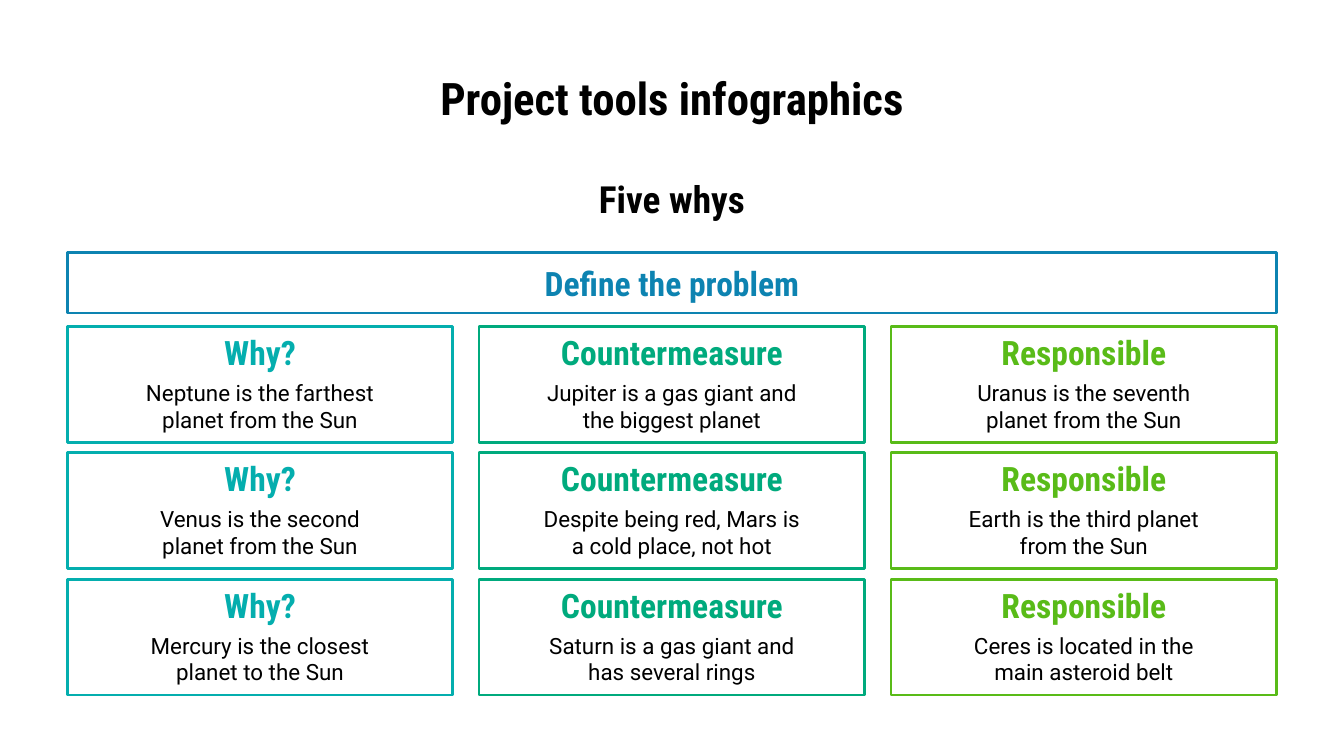
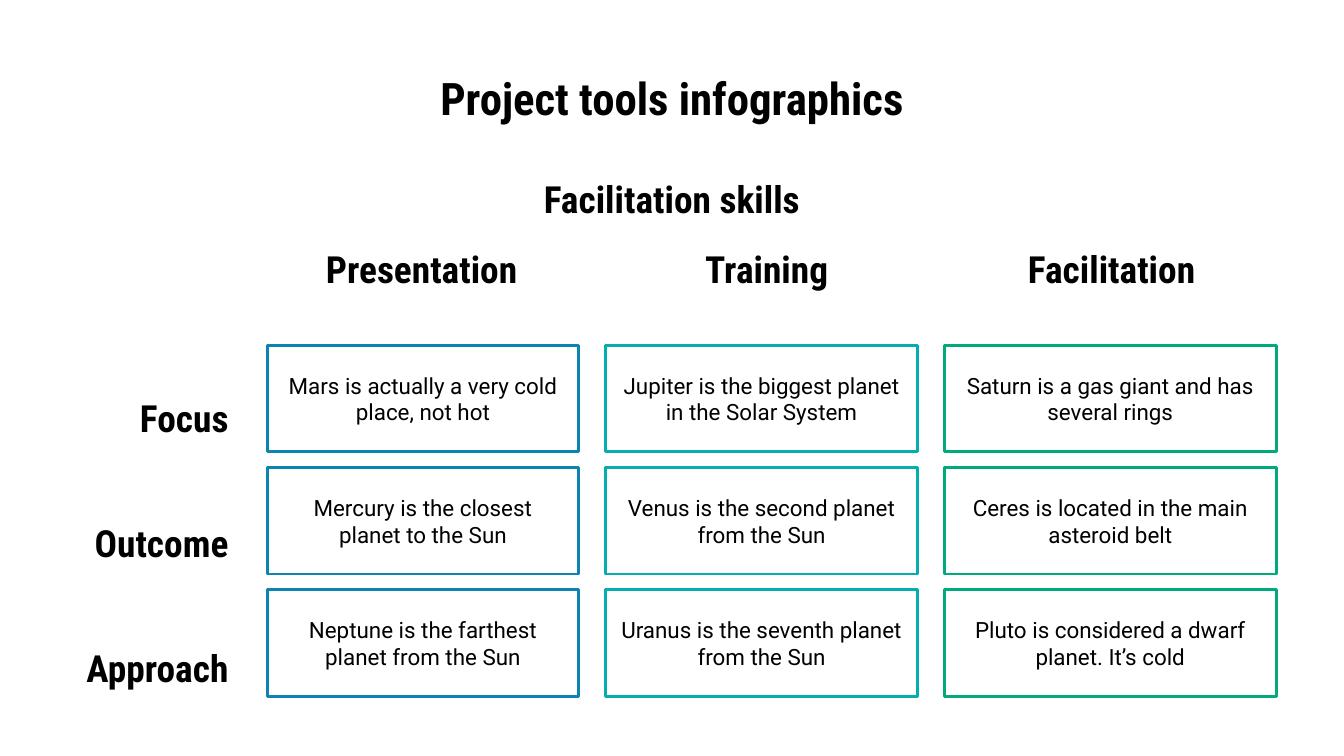
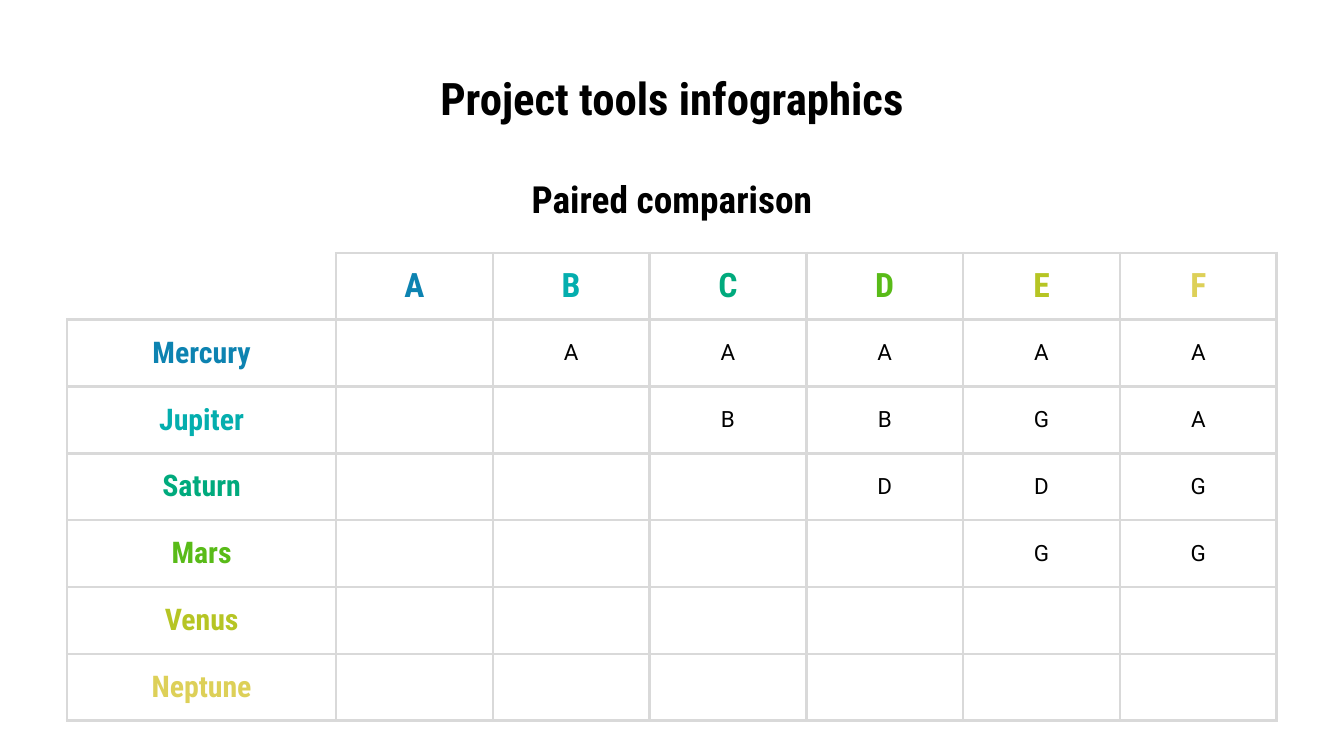
"""Build three project tools infographic slides."""
import pptx
import pptx.dml.color
import pptx.enum.shapes
import pptx.enum.text
import pptx.oxml
import pptx.oxml.ns
import pptx.util

Cm = pptx.util.Cm
Pt = pptx.util.Pt
ALIGN = pptx.enum.text.PP_ALIGN

BLACK, GREY = "000000", "D9D9D9"
PALETTE = ["0D83B1", "04AEAE", "00AA7D", "59BB18", "B6C524", "DDD058"]
BLUE, TEAL, GREEN, LIME = PALETTE[:4]
LEFT, WIDTH = 1.27, 22.86
BAND_TOP = 4.78

HEAD = {"name": "Roboto Condensed", "bold": True}
TITLE = {**HEAD, "size": Pt(24)}
SUBTITLE = {**HEAD, "size": Pt(20)}
LABEL = {**HEAD, "size": Pt(18)}
ROW_LABEL = {**HEAD, "size": Pt(16)}
BODY = {"name": "Roboto", "bold": False, "size": Pt(12)}
FRAME = {
    "margin_left": Cm(0.25),
    "margin_right": Cm(0.25),
    "margin_top": Cm(0.25),
    "margin_bottom": Cm(0.25),
    "vertical_anchor": pptx.enum.text.MSO_ANCHOR.MIDDLE,
}

WHYS = [
    ("Why?", TEAL, [
        "Neptune is the farthest planet from the Sun",
        "Venus is the second planet from the Sun",
        "Mercury is the closest planet to the Sun"]),
    ("Countermeasure", GREEN, [
        "Jupiter is a gas giant and the biggest planet",
        "Despite being red, Mars is a cold place, not hot",
        "Saturn is a gas giant and has several rings"]),
    ("Responsible", LIME, [
        "Uranus is the seventh planet from the Sun",
        "Earth is the third planet from the Sun",
        "Ceres is located in the main asteroid belt"]),
]
SKILLS = [
    ("Presentation", BLUE, 5.89, [
        "Mars is actually a very cold place, not hot",
        "Mercury is the closest planet to the Sun",
        "Neptune is the farthest planet from the Sun"]),
    ("Training", TEAL, 5.89, [
        "Jupiter is the biggest planet in the Solar System",
        "Venus is the second planet from the Sun",
        "Uranus is the seventh planet from the Sun"]),
    ("Facilitation", GREEN, 6.27, [
        "Saturn is a gas giant and has several rings",
        "Ceres is located in the main asteroid belt",
        "Pluto is considered a dwarf planet. It’s cold"]),
]
ASPECTS = ["Focus", "Outcome", "Approach"]
LETTERS = "ABCDEF"
PAIRS = {"Mercury": "AAAAA", "Jupiter": "BBGA", "Saturn": "DDG",
         "Mars": "GG", "Venus": "", "Neptune": ""}


def rgb(value):
    """Turn a hex string into a colour."""
    return pptx.dml.color.RGBColor.from_string(value)


def apply(target, values):
    """Set each attribute in values on target."""
    for name, value in values.items():
        setattr(target, name, value)


def write(tf, text, style, color=BLACK, align=ALIGN.CENTER):
    """Write one styled line into a text frame."""
    p = tf.paragraphs[0]
    p.alignment = align
    r = p.add_run()
    r.text = text
    apply(r.font, style)
    r.font.color.rgb = rgb(color)


def add_text(s, box, text, style, color=BLACK, align=ALIGN.CENTER):
    """Add a wrapped text box."""
    tf = s.shapes.add_textbox(*map(Cm, box)).text_frame
    apply(tf, {**FRAME, "word_wrap": True})
    write(tf, text, style, color, align)


def add_box(s, box, line, text="", style=BODY, color=BLACK):
    """Add an outlined rectangle with optional text."""
    sp = s.shapes.add_shape(pptx.enum.shapes.MSO_SHAPE.RECTANGLE, *map(Cm, box))
    sp.shadow.inherit = False
    sp.fill.background()
    sp.line.color.rgb = rgb(line)
    sp.line.width = Pt(1.5)
    if text:
        apply(sp.text_frame, {**FRAME, "word_wrap": True})
        write(sp.text_frame, text, style, color)


def add_borders(cell, sides):
    """Draw grey borders on the given sides of a cell."""
    tc_pr = cell._tc.get_or_add_tcPr()
    for i, side in enumerate(sides):
        tc_pr.insert(i, pptx.oxml.parse_xml(
            f'<a:ln{side} {pptx.oxml.ns.nsdecls("a")} w="{Pt(1.5)}"><a:solidFill>'
            f'<a:srgbClr val="{GREY}"/></a:solidFill></a:ln{side}>'))


def fill_cell(cell, text, style, color=BLACK, sides="LRTB"):
    """Write and format one table cell."""
    apply(cell, FRAME)
    cell.fill.background()
    add_borders(cell, sides)
    write(cell.text_frame, text, style, color)


def add_slide(prs, subtitle):
    """Add a slide with the shared title and its subtitle."""
    s = prs.slides.add_slide(prs.slide_layouts[6])
    add_text(s, (2, 1.24, 21.4, 1.2), "Project tools infographics", TITLE)
    add_text(s, (6.87, 3.23, 11.66, 1.04), subtitle, SUBTITLE)
    return s


def five_whys(prs):
    """Build the five whys slide."""
    s = add_slide(prs, "Five whys")
    add_box(s, (LEFT, BAND_TOP, WIDTH, 1.14), BLUE, "Define the problem", LABEL, BLUE)
    box_w, text_w = 7.29, 5.36
    for col, (heading, color, notes) in enumerate(WHYS):
        x = LEFT + col * (WIDTH - box_w) / 2
        text_x = x + (box_w - text_w) / 2
        for row, note in enumerate(notes):
            y = 6.17 + row * 2.39
            add_box(s, (x, y, box_w, 2.19), color)
            add_text(s, (text_x, y, text_w, 0.97), heading, LABEL, color)
            add_text(s, (text_x, y + 0.79, text_w, 1.42), note, BODY)


def facilitation_skills(prs):
    """Build the facilitation skills slide."""
    s = add_slide(prs, "Facilitation skills")
    for row, aspect in enumerate(ASPECTS):
        add_text(s, (LEFT, 7.37 + row * 2.36, 3.3, 1.04), aspect, SUBTITLE,
                 align=ALIGN.RIGHT)
    for col, (skill, color, width, notes) in enumerate(SKILLS):
        add_text(s, (5.28 + col * 6.52, 4.55, 5.38, 1.04), skill, SUBTITLE)
        for row, note in enumerate(notes):
            add_box(s, (5.05 + col * 6.4, 6.53 + row * 2.31, width, 2.01), color, note)


def paired_comparison(prs):
    """Build the paired comparison slide."""
    s = add_slide(prs, "Paired comparison")
    head_h, row_h, name_w = 1.25, 1.22, 5.08
    count = len(LETTERS)
    height = head_h + len(PAIRS) * row_h
    table = s.shapes.add_table(len(PAIRS) + 1, count + 1, Cm(LEFT), Cm(BAND_TOP),
                               Cm(WIDTH), Cm(height)).table
    apply(table, {"first_row": False, "horz_banding": False})
    for i, col in enumerate(table.columns):
        col.width = Cm((WIDTH - name_w) / count if i else name_w)
    for i, row in enumerate(table.rows):
        row.height = Cm(row_h if i else head_h)
    fill_cell(table.cell(0, 0), "", BODY, sides="RB")
    for i, (letter, color) in enumerate(zip(LETTERS, PALETTE), 1):
        fill_cell(table.cell(0, i), letter, LABEL, color)
    for i, (planet, marks) in enumerate(PAIRS.items(), 1):
        fill_cell(table.cell(i, 0), planet, ROW_LABEL, PALETTE[i - 1])
        for j, mark in enumerate(marks.rjust(count), 1):
            fill_cell(table.cell(i, j), mark.strip(), BODY)


def main():
    """Build and save the presentation."""
    prs = pptx.Presentation()
    apply(prs, {"slide_width": Cm(25.4), "slide_height": Cm(14.29)})
    five_whys(prs)
    facilitation_skills(prs)
    paired_comparison(prs)
    prs.save("out.pptx")


if __name__ == "__main__":
    main()
